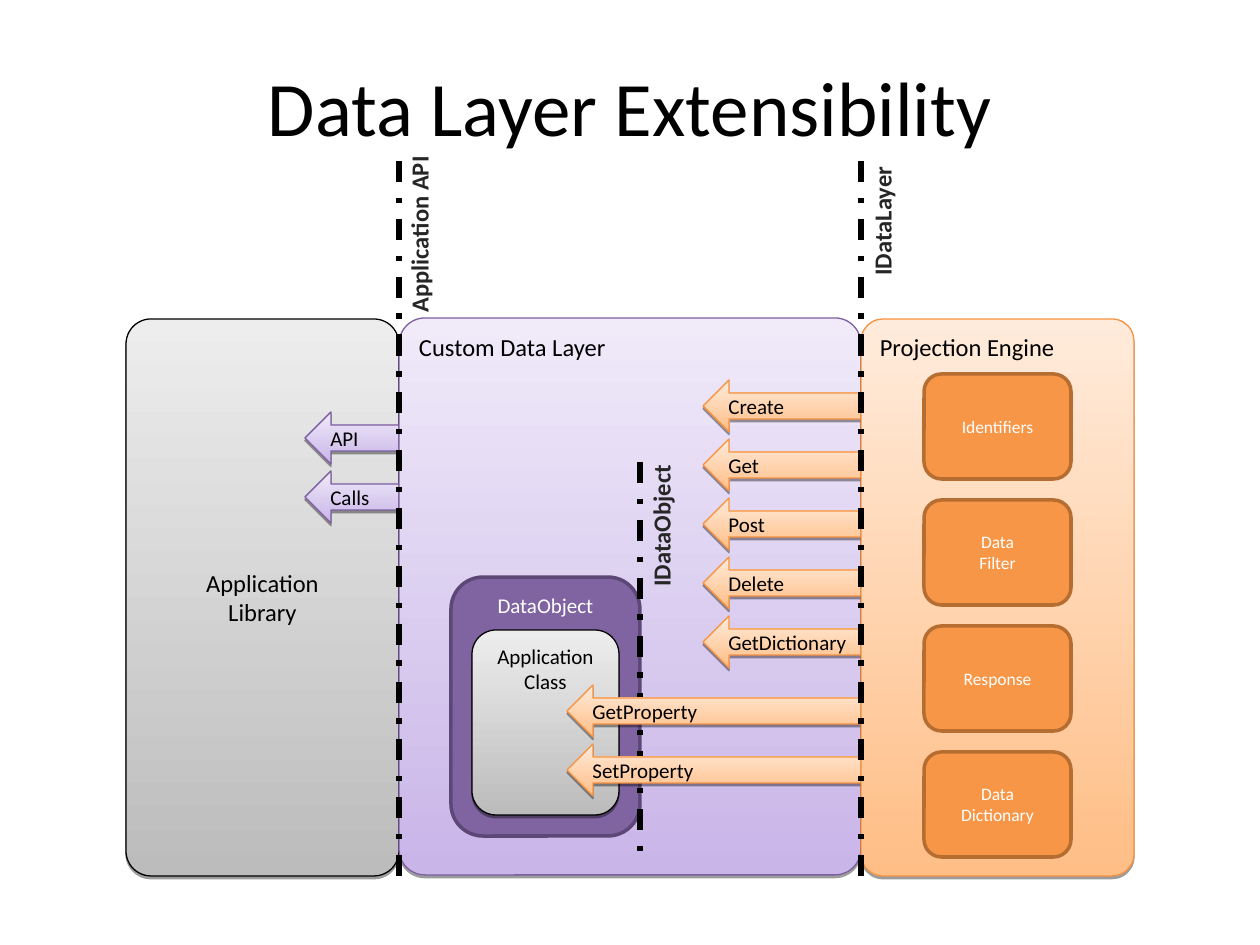
from copy import deepcopy
from dataclasses import dataclass
from typing import NamedTuple

from lxml.etree import SubElement
from pptx import Presentation
from pptx.dml.color import RGBColor
from pptx.enum.dml import MSO_LINE as Dash
from pptx.enum.shapes import MSO_CONNECTOR as Connector, MSO_SHAPE as Shape
from pptx.enum.text import MSO_ANCHOR as Anchor, MSO_AUTO_SIZE as AutoSize, PP_ALIGN as Align
from pptx.oxml.ns import qn
from pptx.util import Pt

EMU_PER_PX = 914400 / 126


class Paint(NamedTuple):
    fill: tuple  # one colour, or bottom and top of a gradient
    line: str
    width: float


class Box(NamedTuple):
    left: int
    top: int
    width: int
    height: int

    def inside(self, left, top, width, height):
        return Box(self.left + left, self.top + top, width, height)


@dataclass(frozen=True)
class Theme:
    font: str = "Calibri"
    dark: str = "000000"
    light: str = "FFFFFF"
    label: str = "262626"
    gray: Paint = Paint(("BCBCBC", "EDEDED"), "000000", 0.75)
    lilac: Paint = Paint(("C9B5E8", "F0EAF9"), "7D60A0", 0.75)
    peach: Paint = Paint(("FFBE86", "FFEBDB"), "F69240", 0.75)
    purple: Paint = Paint(("8064A2",), "5C4776", 2)
    orange: Paint = Paint(("F79646",), "B66D31", 2)
    boundary_width: float = 3
    title_size: int = 44
    heading_size: int = 14
    part_size: int = 12
    item_size: int = 10


THEME = Theme()
ARROW_HEIGHT, ARROW_STEP = 52, 59


def px(length):
    return round(length * EMU_PER_PX)


def emu(box):
    return [px(length) for length in box]


def write(frame, text, size, color, align=Align.LEFT, anchor=Anchor.TOP, bold=False):
    frame.vertical_anchor = anchor
    paragraph = frame.paragraphs[0]
    paragraph.text = text
    paragraph.alignment = align
    for run in paragraph.runs:
        font = run.font
        font.name, font.size, font.bold = THEME.font, Pt(size), bold
        font.color.rgb = RGBColor.from_string(color)
    # Line breaks take the size of the text around them
    for line_break in paragraph._p.findall(qn("a:br")):
        line_break.insert(0, deepcopy(paragraph.runs[0]._r.rPr))


def add_shadow(shape):
    effects = shape._element.spPr.find(qn("a:effectLst"))
    shadow = SubElement(effects, qn("a:outerShdw"), blurRad="0", dist=str(Pt(1.6)),
                        dir="5400000", rotWithShape="0")
    color = SubElement(shadow, qn("a:srgbClr"), val=THEME.dark)
    SubElement(color, qn("a:alpha"), val="38000")


def add_part(slide, kind, box, paint, text, size, color=THEME.dark, **layout):
    part = slide.shapes.add_shape(kind, *emu(box))
    part.shadow.inherit = False
    if len(paint.fill) > 1:
        part.fill.gradient()
        part.fill.gradient_angle = 90
        for stop, shade in zip(part.fill.gradient_stops, paint.fill):
            stop.color.rgb = RGBColor.from_string(shade)
        add_shadow(part)
    else:
        part.fill.solid()
        part.fill.fore_color.rgb = RGBColor.from_string(paint.fill[0])
    part.line.color.rgb = RGBColor.from_string(paint.line)
    part.line.width = Pt(paint.width)
    part.text_frame.word_wrap = True
    write(part.text_frame, text, size, color, **layout)
    return part


def add_panel(slide, box, radius, *content, **layout):
    panel = add_part(slide, Shape.ROUNDED_RECTANGLE, box, *content, **layout)
    panel.adjustments[0] = radius / min(box.width, box.height)


def add_calls(slide, box, paint, names):
    """Stack left arrows from the top of the box."""
    for row, name in enumerate(names):
        arrow = box.inside(0, row * ARROW_STEP, box.width, ARROW_HEIGHT)
        add_part(slide, Shape.LEFT_ARROW, arrow, paint, name, THEME.part_size,
                 anchor=Anchor.MIDDLE)


def add_boundary(slide, x, top, bottom, name, label_box):
    """Draw a dash-dot interface line and its upright name."""
    label = slide.shapes.add_textbox(*emu(label_box))
    label.rotation = 270
    label.text_frame.word_wrap = False
    label.text_frame.auto_size = AutoSize.SHAPE_TO_FIT_TEXT
    write(label.text_frame, name, THEME.heading_size, THEME.label, bold=True)
    boundary = slide.shapes.add_connector(Connector.STRAIGHT, px(x), px(top), px(x), px(bottom))
    boundary.line.color.rgb = RGBColor.from_string(THEME.dark)
    boundary.line.width = Pt(THEME.boundary_width)
    boundary.line.dash_style = Dash.DASH_DOT
    SubElement(boundary._element.spPr, qn("a:effectLst"))


def add_title(slide, box):
    title = slide.shapes.title
    title.left, title.top, title.width, title.height = emu(box)
    write(title.text_frame, "Data Layer Extensibility", THEME.title_size, THEME.dark,
          align=Align.CENTER)


def add_library(slide, box):
    add_panel(slide, box, 25, THEME.gray, "Application\nLibrary", THEME.heading_size,
              align=Align.CENTER, anchor=Anchor.MIDDLE)
    add_calls(slide, box.inside(179, 93, 136, 111), THEME.lilac, ["API", "Calls"])


def add_data_layer(slide, box):
    add_panel(slide, box, 26, THEME.lilac, "Custom Data Layer", THEME.heading_size)
    # Data object around the application class
    data_object = box.inside(52, 259, 189, 259)
    add_panel(slide, data_object, 32, THEME.purple, "DataObject", THEME.part_size,
              THEME.light, align=Align.CENTER)
    add_panel(slide, data_object.inside(21, 53, 147, 185), 24, THEME.gray,
              "Application\nClass", THEME.part_size, align=Align.CENTER)
    add_boundary(slide, box.left + 241, box.top + 144, box.top + 539, "IDataObject",
                 box.inside(189, 186, 147, 43))
    # Calls from the engine, to the layer and to the data object
    add_calls(slide, box.inside(304, 62, 273, 288), THEME.peach,
              ["Create", "Get", "Post", "Delete", "GetDictionary"])
    add_calls(slide, box.inside(168, 367, 410, 111), THEME.peach,
              ["GetProperty", "SetProperty"])


def add_engine(slide, box):
    add_panel(slide, box, 22, THEME.peach, "Projection Engine", THEME.heading_size)
    items = ["Identifiers", "Data\nFilter", "Response", "Data\nDictionary"]
    for row, item in enumerate(items):
        add_panel(slide, box.inside(63, 55 + row * 126, 147, 105), 17.5, THEME.orange, item,
                  THEME.item_size, THEME.light, align=Align.CENTER, anchor=Anchor.MIDDLE)


def main():
    deck = Presentation()
    deck.slide_width, deck.slide_height = px(1260), px(945)
    slide = deck.slides.add_slide(deck.slide_layouts[5])
    add_title(slide, Box(21, 53, 1218, 106))
    add_library(slide, Box(126, 319, 273, 557))
    add_data_layer(slide, Box(399, 318, 462, 557))
    add_engine(slide, Box(861, 319, 273, 557))
    # Interfaces between the three regions
    add_boundary(slide, 861, 161, 882, "IDataLayer", Box(815, 199, 135, 43))
    add_boundary(slide, 399, 161, 876, "Application API", Box(329, 213, 181, 43))
    deck.save("out.pptx")


if __name__ == "__main__":
    main()
